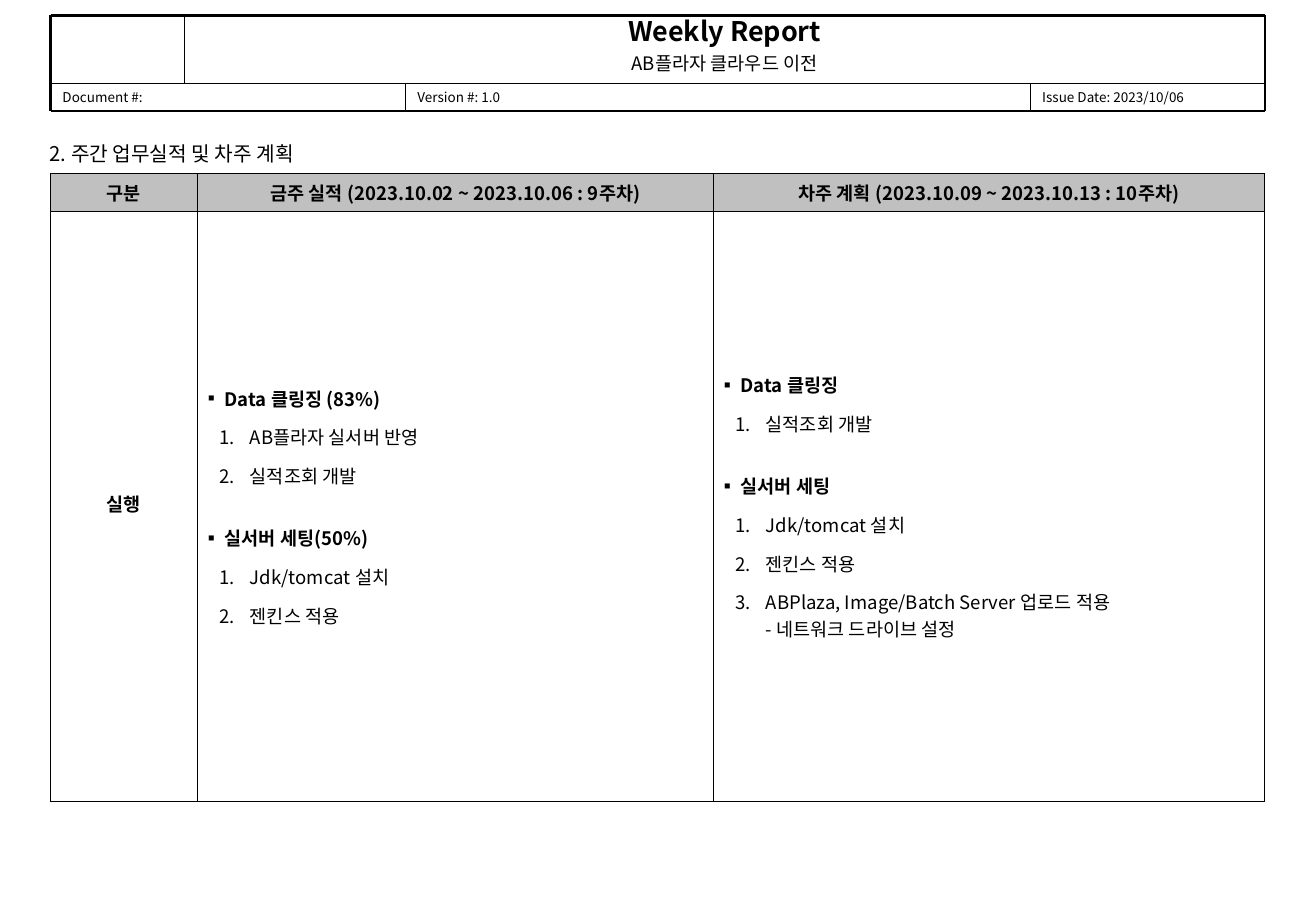
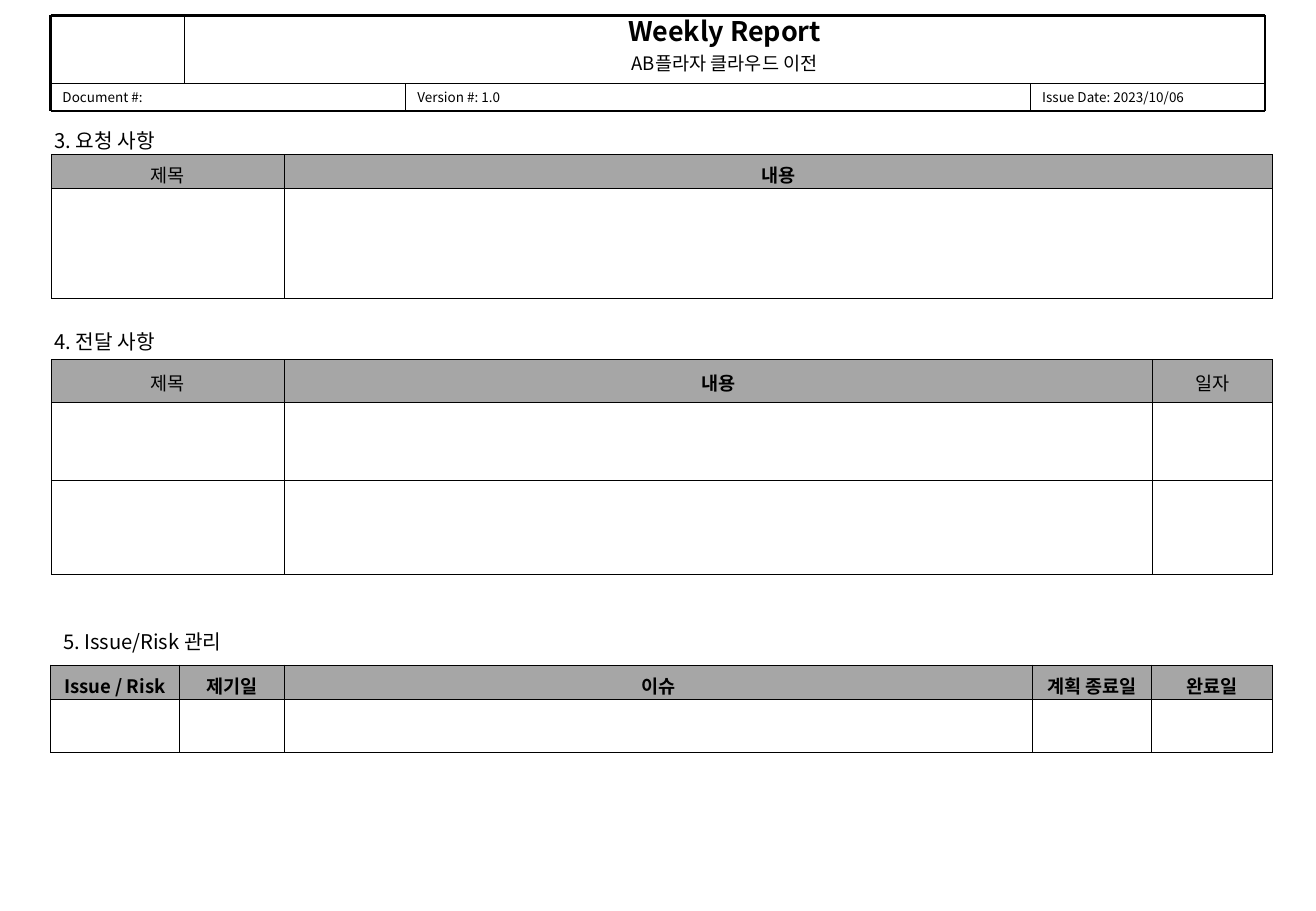
from dataclasses import dataclass
from typing import Any, Optional

import lxml.etree
import pptx
import pptx.dml.color
import pptx.enum.shapes
import pptx.enum.text
import pptx.oxml.ns
import pptx.util

Pt = pptx.util.Pt
RGB = pptx.dml.color.RGBColor
Align = pptx.enum.text.PP_ALIGN
Anchor = pptx.enum.text.MSO_ANCHOR
qn = pptx.oxml.ns.qn


# Shared look
@dataclass(frozen=True)
class Theme:
    font: str = "Noto Sans CJK KR"
    ink: str = "000000"
    silver: str = "C0C0C0"
    gray: str = "A6A6A6"
    name: float = 16
    head: float = 12
    body: float = 11
    meta: float = 8
    hair: float = 0.25
    thin: float = 0.45
    edge: float = 0.75
    bold: float = 1.5


THEME = Theme()


@dataclass(frozen=True)
class Line:
    text: str
    size: float = THEME.body
    bold: bool = False
    align: Any = Align.LEFT
    mark: str = ""
    before: float = 0
    after: float = 0
    pitch: Optional[float] = None


@dataclass(frozen=True)
class Box:
    x: float
    y: float
    w: float
    h: float


@dataclass(frozen=True)
class Rule:
    x1: float
    y1: float
    x2: float
    y2: float
    width: float


@dataclass(frozen=True)
class Grid:
    x: float
    y: float
    cols: list[float]
    rows: list[float]
    cells: list[list[list[Line]]]
    fill: str = THEME.gray
    edge: float = THEME.thin
    pad: float = 3.5
    side: float = 5


# Text
def bullet(para: Any, mark: str) -> None:
    props = para._p.get_or_add_pPr()
    left, hang = (28.3, 18) if mark == "1." else (13.4, 13.4)
    props.set("marL", str(int(Pt(left))))
    props.set("indent", str(-int(Pt(hang))))
    lxml.etree.SubElement(props, qn("a:buFont"), typeface=THEME.font)
    if mark == "1.":
        para.level = 1
        lxml.etree.SubElement(props, qn("a:buAutoNum"), type="arabicPeriod")
    else:
        lxml.etree.SubElement(props, qn("a:buChar"), char=mark)


def fill(frame: Any, lines: list[Line]) -> None:
    for i, line in enumerate(lines):
        para = frame.add_paragraph() if i else frame.paragraphs[0]
        para.text = line.text
        para.alignment = line.align
        if line.pitch:
            para.line_spacing = Pt(line.pitch)
        para.space_before = Pt(line.before if i else 0)
        para.space_after = Pt(line.after)
        if line.mark:
            bullet(para, line.mark)
        for run in para.runs:
            font = run.font
            font.name, font.size, font.bold = THEME.font, Pt(line.size), line.bold
            font.color.rgb = RGB.from_string(THEME.ink)
            props = run._r.get_or_add_rPr()
            props.set("kern", "0")
            lxml.etree.SubElement(props, qn("a:ea"), typeface=THEME.font)


def put(frame: Any, lines: list[Line], side: float = 0,
        anchor: Any = Anchor.TOP) -> None:
    frame.word_wrap = True
    frame.auto_size = pptx.enum.text.MSO_AUTO_SIZE.NONE
    frame.vertical_anchor = anchor
    frame.margin_left = frame.margin_right = Pt(side)
    frame.margin_top = frame.margin_bottom = Pt(0)
    fill(frame, lines)


def place(slide: Any, box: Box) -> Any:
    return slide.shapes.add_textbox(Pt(box.x), Pt(box.y), Pt(box.w), Pt(box.h))


def head(slide: Any, text: str, x: float, y: float, title: bool = False) -> None:
    box = Box(x, y, 220, 20)
    if title:
        shape = slide.shapes.title
        shape.left, shape.top = Pt(box.x), Pt(box.y)
        shape.width, shape.height = Pt(box.w), Pt(box.h)
    else:
        shape = place(slide, box)
    put(shape.text_frame, [Line(text, THEME.head)])


# Lines and tables
def rule(slide: Any, item: Rule) -> None:
    line = slide.shapes.add_connector(
        pptx.enum.shapes.MSO_CONNECTOR.STRAIGHT,
        Pt(item.x1), Pt(item.y1), Pt(item.x2), Pt(item.y2))
    line.line.color.rgb = RGB.from_string(THEME.ink)
    line.line.width = Pt(item.width)
    lxml.etree.SubElement(line.element.spPr, qn("a:effectLst"))


def border(cell: Any, widths: dict[str, float]) -> None:
    props = cell._tc.get_or_add_tcPr()
    for side, width in widths.items():
        line = lxml.etree.SubElement(props, qn(f"a:ln{side}"), w=str(int(Pt(width))))
        solid = lxml.etree.SubElement(line, qn("a:solidFill"))
        lxml.etree.SubElement(solid, qn("a:srgbClr"), val=THEME.ink)


def table(slide: Any, grid: Grid) -> None:
    tall, wide = len(grid.rows), len(grid.cols)
    tab = slide.shapes.add_table(
        tall, wide, Pt(grid.x), Pt(grid.y),
        Pt(sum(grid.cols)), Pt(sum(grid.rows))).table
    tab.first_row = tab.horz_banding = False
    for col, width in zip(tab.columns, grid.cols):
        col.width = Pt(width)
    for row, height in zip(tab.rows, grid.rows):
        row.height = Pt(height)
    for r in range(tall):
        for c in range(wide):
            cell = tab.cell(r, c)
            border(cell, {
                "L": THEME.thin if c else grid.edge,
                "R": THEME.thin if c < wide - 1 else grid.edge,
                "T": THEME.thin if r else grid.edge,
                "B": THEME.thin})
            cell.vertical_anchor = Anchor.MIDDLE
            cell.margin_left = cell.margin_right = Pt(grid.side)
            cell.margin_top = Pt(0 if r else grid.pad)
            cell.margin_bottom = Pt(0)
            if r:
                cell.fill.background()
            else:
                cell.fill.solid()
                cell.fill.fore_color.rgb = RGB.from_string(grid.fill)
            if r < len(grid.cells):
                fill(cell.text_frame, grid.cells[r][c])


def label(text: str, bold: bool = True, pitch: Optional[float] = None) -> list[Line]:
    return [Line(text, bold=bold, align=Align.CENTER, pitch=pitch)]


def tasks(groups: dict[str, list[str]]) -> list[Line]:
    lines = []
    for name, items in groups.items():
        lines.append(Line(name, bold=True, mark="▪", before=20, after=1))
        lines += [Line(item, mark="1.", before=6, after=1) for item in items]
    return lines


# Report band on every slide
LEFT, RIGHT, TOP, MID, LOW = 30, 750.2, 9.2, 49.5, 65.8
LOGO, VER, DATE = 109.5, 240.5, 611


def band(slide: Any) -> None:
    put(place(slide, Box(LOGO, TOP, RIGHT - LOGO, MID - TOP)).text_frame, [
        Line("Weekly Report", THEME.name, True, Align.CENTER, pitch=18.9),
        Line("AB플라자 클라우드 이전", align=Align.CENTER, before=2.8, pitch=13.2)])
    stops = [LEFT, VER, DATE, RIGHT]
    notes = ["Document #:", "Version #: 1.0", "Issue Date: 2023/10/06"]
    for x, end, note in zip(stops, stops[1:], notes):
        put(place(slide, Box(x, MID, end - x, LOW - MID)).text_frame,
            [Line(note, THEME.meta)], 7.2, Anchor.MIDDLE)
    for item in [
            Rule(LOGO, TOP, LOGO, MID, THEME.hair),
            *(Rule(x, MID, x, LOW, THEME.hair) for x in (VER, DATE)),
            Rule(LEFT, MID, RIGHT, MID, THEME.hair),
            *(Rule(x, TOP, x, LOW, THEME.bold) for x in (LEFT, RIGHT)),
            *(Rule(LEFT, y, RIGHT, y, THEME.bold) for y in (TOP, LOW))]:
        rule(slide, item)


# Slide 1: work done and next plan
def work(slide: Any) -> None:
    band(slide)
    head(slide, "2. 주간 업무실적 및 차주 계획", 29.5, 84, True)
    done = tasks({
        "Data 클링징 (83%)": ["AB플라자 실서버 반영", "실적조회 개발"],
        "실서버 세팅(50%)": ["Jdk/tomcat 설치", "젠킨스 적용"]})
    plan = tasks({
        "Data 클링징": ["실적조회 개발"],
        "실서버 세팅": [
            "Jdk/tomcat 설치", "젠킨스 적용",
            "ABPlaza, Image/Batch Server 업로드 적용\n- 네트워크 드라이브 설정"]})
    table(slide, Grid(
        LEFT, 103, [87, 306, 327], [22.5, 349.5],
        [[label("구분"),
          label("금주 실적 (2023.10.02 ~ 2023.10.06 : 9주차)"),
          label("차주 계획 (2023.10.09 ~ 2023.10.13 : 10주차)")],
         [label("실행", pitch=12), done, plan]],
        THEME.silver, THEME.edge, 0, 2.9))


# Slide 2: requests, notices and issues
def asks(slide: Any) -> None:
    band(slide)
    head(slide, "3. 요청 사항", 32.4, 75.8, True)
    table(slide, Grid(
        30.5, 91.6, [138.2, 586], [20.2, 65.2],
        [[label("제목", False), label("내용")]]))
    head(slide, "4. 전달 사항", 32.4, 195)
    table(slide, Grid(
        30.5, 213.2, [138.2, 514.8, 71.2], [25.5, 46.3, 55.7],
        [[label("제목", False), label("내용"), label("일자", False)]], pad=1))
    head(slide, "5. Issue/Risk 관리", 37.4, 373.2)
    names = ["Issue / Risk", "제기일", "이슈", "계획 종료일", "완료일"]
    table(slide, Grid(
        LEFT, 394.1, [76.5, 62.2, 443.7, 70.5, 71.8], [20.2, 31.4],
        [[label(name) for name in names]]))


def main() -> None:
    deck = pptx.Presentation()
    deck.slide_width = Pt(780.48)
    deck.slide_height = Pt(540)
    layout = deck.slide_layouts[5]
    for draw in (work, asks):
        draw(deck.slides.add_slide(layout))
    deck.save("out.pptx")


if __name__ == "__main__":
    main()
